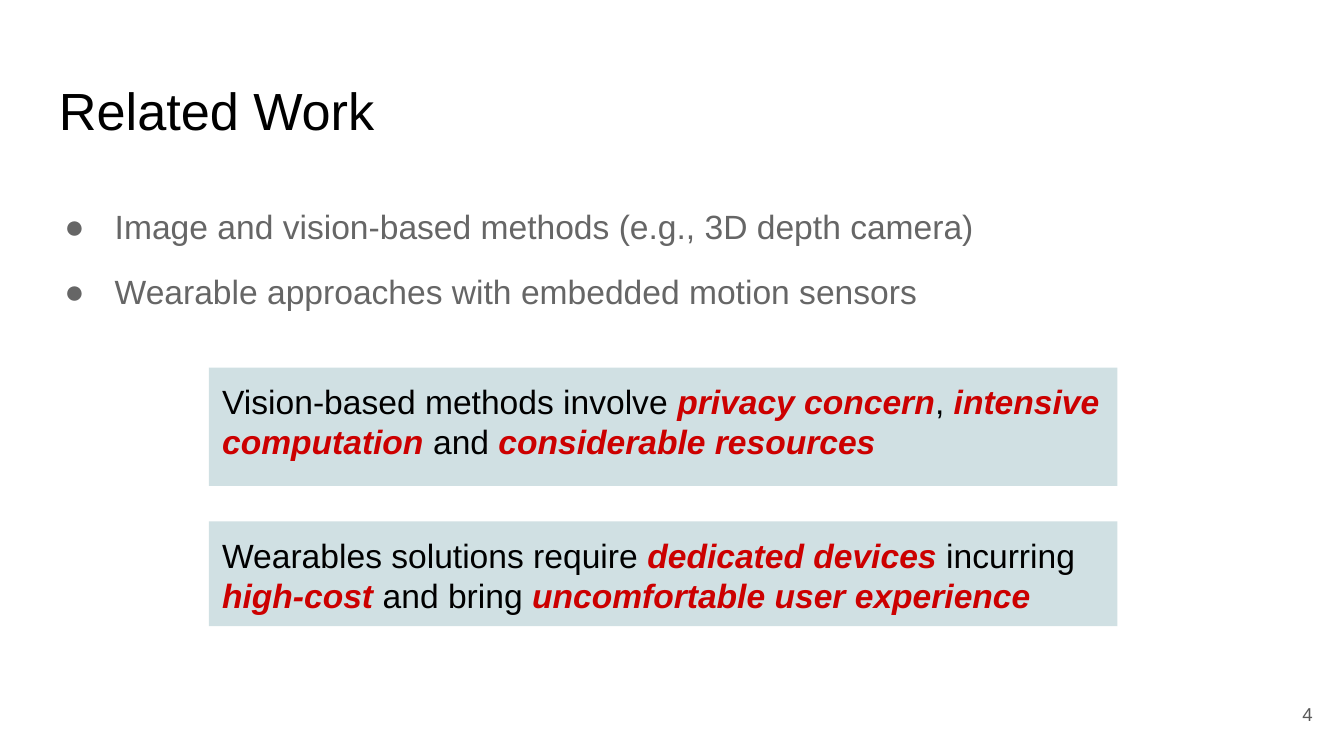
from lxml.etree import SubElement
from pptx import Presentation
from pptx.dml.color import RGBColor
from pptx.enum.shapes import MSO_SHAPE as Shape
from pptx.enum.text import MSO_ANCHOR as Anchor, PP_ALIGN as Align
from pptx.oxml.ns import qn
from pptx.util import Pt

EMU_PER_PX = 4572  # 200 px to the inch
FONT = "Arial"
COLORS = {
    "background": "FFFFFF",
    "title": "000000",
    "bullet": "666666",
    "number": "595959",
    "callout": "D0E0E3",
    "emphasis": "CC0000",
}


def px(value):
    return value * EMU_PER_PX


def color(name):
    return RGBColor.from_string(COLORS[name])


def prepare_frame(shape, anchor=Anchor.TOP):
    frame = shape.text_frame
    frame.word_wrap = True
    frame.vertical_anchor = anchor
    frame.margin_left = frame.margin_right = px(20)
    frame.margin_top = frame.margin_bottom = px(20)
    return frame


def add_text_frame(slide, box, anchor=Anchor.TOP):
    return prepare_frame(slide.shapes.add_textbox(*map(px, box)), anchor)


def add_run(paragraph, text, size, color_name, emphasized=False):
    run = paragraph.add_run()
    run.text = text
    run.font.name = FONT
    run.font.size = Pt(size)
    run.font.color.rgb = color(color_name)
    run.font.bold = run.font.italic = emphasized


def add_bullet(paragraph, indent, hanging):
    properties = paragraph._p.get_or_add_pPr()
    properties.set("marL", str(px(indent)))
    properties.set("indent", str(-px(hanging)))
    bullet_color = SubElement(properties, qn("a:buClr"))
    SubElement(bullet_color, qn("a:srgbClr"), val=COLORS["bullet"])
    SubElement(properties, qn("a:buFont"), typeface=FONT)
    SubElement(properties, qn("a:buChar"), char="●")


def add_title(slide, box, text):
    frame = add_text_frame(slide, box)
    add_run(frame.paragraphs[0], text, 28, "title")


def add_slide_number(slide, box, number):
    paragraph = add_text_frame(slide, box, Anchor.MIDDLE).paragraphs[0]
    paragraph.alignment = Align.RIGHT
    add_run(paragraph, number, 10, "number")


def add_bullet_list(slide, box, items):
    frame = add_text_frame(slide, box)
    for index, item in enumerate(items):
        paragraph = frame.add_paragraph() if index else frame.paragraphs[0]
        add_bullet(paragraph, 100, 75)
        paragraph.line_spacing = 1.15
        if index:
            paragraph.space_before = Pt(10)
        add_run(paragraph, item, 18, "bullet")


def add_callout(slide, box, parts):
    """Draw a filled box whose text alternates plain and emphasized parts."""
    shape = slide.shapes.add_shape(Shape.RECTANGLE, *map(px, box))
    shape.shadow.inherit = False
    shape.fill.solid()
    shape.fill.fore_color.rgb = color("callout")
    shape.line.fill.background()
    paragraph = prepare_frame(shape).paragraphs[0]
    paragraph.alignment = Align.LEFT
    for index, part in enumerate(parts):
        emphasized = index % 2 == 1
        add_run(paragraph, part, 18, "emphasis" if emphasized else "title", emphasized)


def main():
    presentation = Presentation()
    presentation.slide_width = px(2000)
    presentation.slide_height = px(1125)
    slide = presentation.slides.add_slide(presentation.slide_layouts[6])
    slide.background.fill.solid()
    slide.background.fill.fore_color.rgb = color("background")

    add_title(slide, (68, 97, 1864, 125), "Related Work")
    add_slide_number(slide, (1853, 1020, 120, 86), "4")
    add_bullet_list(slide, (51, 278, 1978, 244), [
        "Image and vision-based methods (e.g., 3D depth camera)",
        "Wearable approaches with embedded motion sensors",
    ])
    add_callout(slide, (311, 547, 1352, 176), [
        "Vision-based methods involve ", "privacy concern",
        ", ", "intensive computation",
        " and ", "considerable resources",
    ])
    add_callout(slide, (311, 776, 1352, 156), [
        "Wearables solutions require ", "dedicated devices",
        " incurring ", "high-cost",
        " and bring ", "uncomfortable user experience",
    ])
    presentation.save("out.pptx")


if __name__ == "__main__":
    main()
